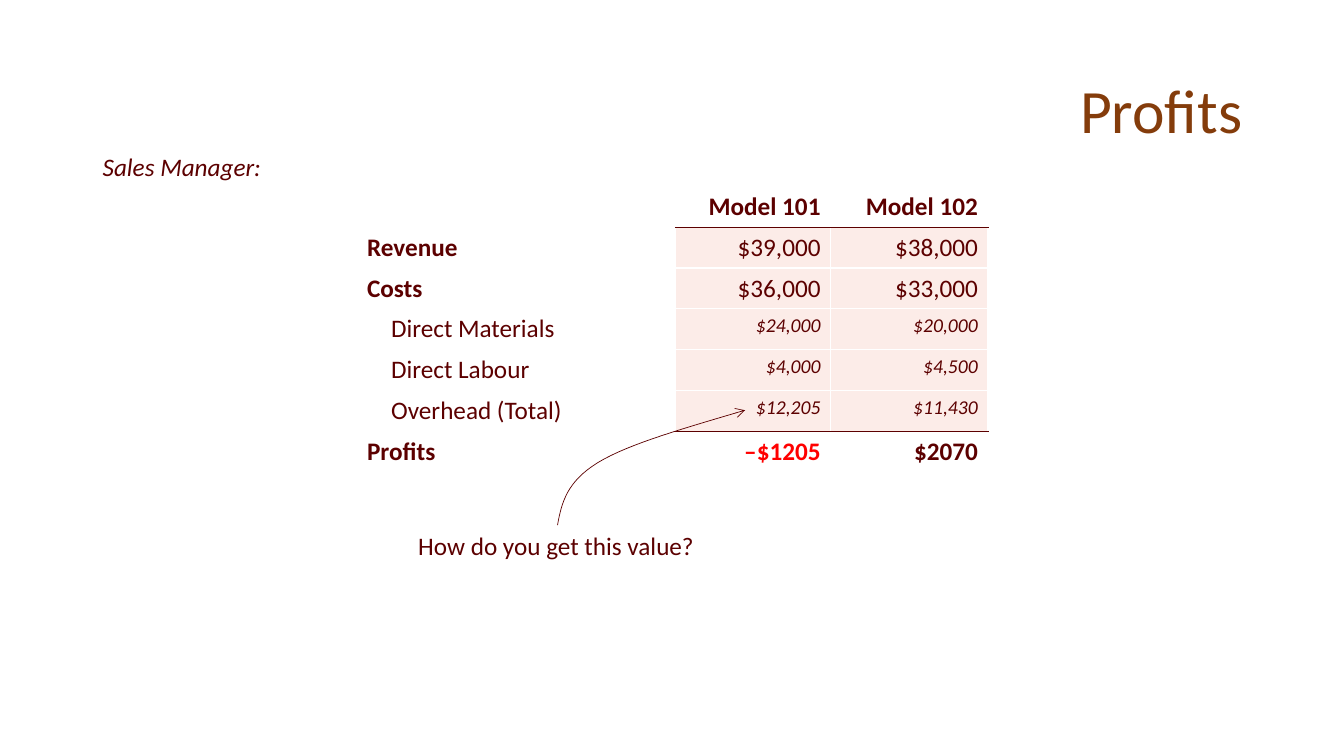
from lxml import etree
from pptx import Presentation
from pptx.dml.color import RGBColor
from pptx.enum.text import MSO_ANCHOR, PP_ALIGN
from pptx.oxml.ns import qn
from pptx.util import Inches, Pt

LEFT, RIGHT = PP_ALIGN.LEFT, PP_ALIGN.RIGHT
TOP, MIDDLE = MSO_ANCHOR.TOP, MSO_ANCHOR.MIDDLE
FONT = "Calibri"
DARK, BROWN, RED = "5C0000", "843C0B", "FF0000"
WHITE, PINK = "FFFFFF", "FCECE8"

WIDTHS = [0.23, 2.92, 1.54, 1.56]
ROW_HIGH = 0.405
ROWS = [
    ("head", "", "Model 101", "Model 102"),
    ("main", "Revenue", "$39,000", "$38,000"),
    ("main", "Costs", "$36,000", "$33,000"),
    ("part", "Direct Materials", "$24,000", "$20,000"),
    ("part", "Direct Labour", "$4,000", "$4,500"),
    ("part", "Overhead (Total)", "$12,205", "$11,430"),
    ("total", "Profits", "–$1205", "$2070"),
]


def color(code):
    return RGBColor.from_string(code)


def write(frame, text, size=18, code=DARK, bold=False, italic=False, align=LEFT):
    frame.text = text
    para = frame.paragraphs[0]
    para.alignment = align
    for run in para.runs:
        font = run.font
        font.name, font.size = FONT, Pt(size)
        font.bold, font.italic = bold, italic
        font.color.rgb = color(code)
    return para


def add_text(slide, box, text, anchor=TOP, wrap=False, **style):
    frame = slide.shapes.add_textbox(*map(Inches, box)).text_frame
    frame.word_wrap = wrap
    frame.vertical_anchor = anchor
    return write(frame, text, **style)


def add_title(slide, box):
    para = add_text(slide, box, "Profits", MIDDLE, True,
                    size=44, code=BROWN, align=RIGHT)
    para.line_spacing = 0.9


def add_role(slide, box):
    para = add_text(slide, box, "Sales Manager:", italic=True)
    fill = para.runs[0].font._element.find(qn("a:solidFill"))
    effect = etree.Element(qn("a:effectLst"))
    shade = etree.SubElement(effect, qn("a:outerShdw"), blurRad="38100",
                             dist="38100", dir="2700000", algn="tl")
    tint = etree.SubElement(shade, qn("a:srgbClr"), val="000000")
    etree.SubElement(tint, qn("a:alpha"), val="43000")
    fill.addnext(effect)


def paint(cell, fill, edges):
    props = cell._tc.get_or_add_tcPr()
    for side, code in edges.items():
        line = etree.SubElement(props, qn(f"a:ln{side}"), w=str(Pt(1)))
        solid = etree.SubElement(line, qn("a:solidFill"))
        etree.SubElement(solid, qn("a:srgbClr"), val=code)
    cell.fill.solid()
    cell.fill.fore_color.rgb = color(fill)


def add_costs(slide, left, top):
    size = map(Inches, (left, top, sum(WIDTHS), ROW_HIGH * len(ROWS)))
    table = slide.shapes.add_table(len(ROWS), len(WIDTHS), *size).table
    for col, width in zip(table.columns, WIDTHS):
        col.width = Inches(width)
    last = len(ROWS) - 1
    for r, (kind, label, *values) in enumerate(ROWS):
        table.rows[r].height = Inches(ROW_HIGH)
        part = kind == "part"
        shaded = kind in ("main", "part")
        for c in range(len(WIDTHS)):
            above = DARK if c > 1 and r in (1, last) else WHITE
            below = DARK if c > 1 and r in (0, last - 1) else WHITE
            paint(table.cell(r, c), PINK if c > 1 and shaded else WHITE,
                  {"L": WHITE, "R": WHITE, "T": above, "B": below})
        if not part:
            table.cell(r, 0).merge(table.cell(r, 1))
        if label:
            write(table.cell(r, int(part)).text_frame, label, bold=not part)
        for c, value in enumerate(values, 2):
            write(table.cell(r, c).text_frame, value, size=14 if part else 18,
                  code=RED if value.startswith("–") else DARK,
                  bold=not shaded, italic=part, align=RIGHT)


def curve(points, steps=16):
    for k in range(1, steps + 1):
        t = k / steps
        parts = ((1 - t) ** 3, 3 * t * (1 - t) ** 2, 3 * t * t * (1 - t), t ** 3)
        yield tuple(Inches(sum(w * p[i] for w, p in zip(parts, points)))
                    for i in (0, 1))


def add_arrow(slide, left, top):
    bends = [(0, 1.14), (0.04, 0.92), (0.09, 0.71), (0.4, 0.52),
             (0.71, 0.33), (1.29, 0.17), (1.86, 0)]
    points = [(left + x, top + y) for x, y in bends]
    build = slide.shapes.build_freeform(*map(Inches, points[0]))
    for start in (0, 3):
        build.add_line_segments(curve(points[start:start + 4]), close=False)
    arrow = build.convert_to_shape()
    arrow.shadow.inherit = False
    arrow.fill.background()
    arrow.line.color.rgb = color(DARK)
    arrow.line.width = Pt(0.5)
    etree.SubElement(arrow.line._get_or_add_ln(), qn("a:tailEnd"),
                     type="arrow", w="med", len="med")


def add_note(slide, left, top):
    add_text(slide, (left, top, 2.97, 0.4), "How do you get this value?")
    add_arrow(slide, left + 1.48, top - 1.14)


def main():
    deck = Presentation()
    deck.slide_width, deck.slide_height = Inches(13.33), Inches(7.5)
    slide = deck.slides.add_slide(deck.slide_layouts[6])
    add_title(slide, (0.92, 0.4, 11.5, 1.45))
    add_costs(slide, 3.54, 1.85)
    add_note(slide, 4.05, 5.21)
    add_role(slide, (0.92, 1.45, 1.83, 0.4))
    deck.save("out.pptx")


if __name__ == "__main__":
    main()
